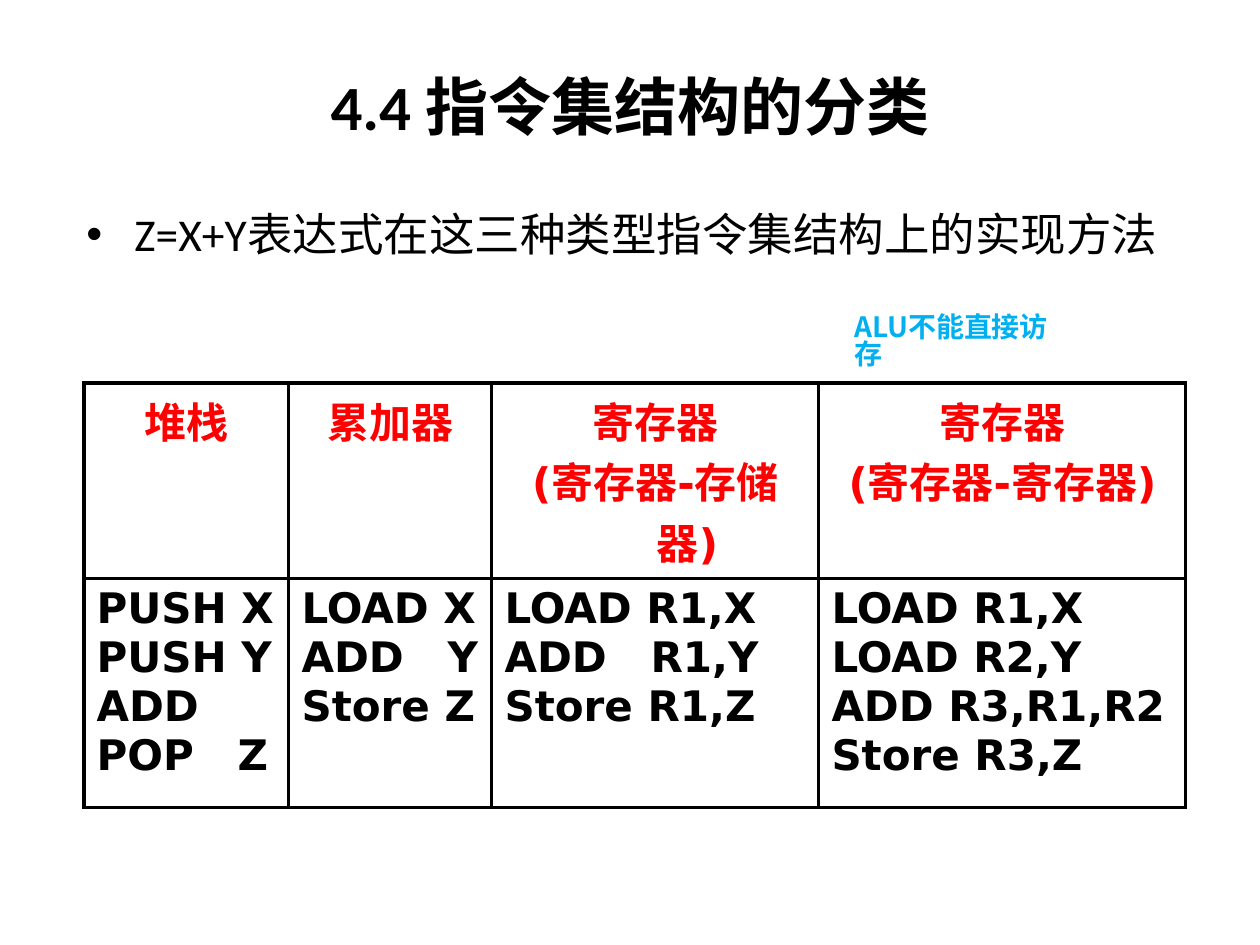
from lxml.etree import SubElement
from pptx import Presentation
from pptx.dml.color import RGBColor
from pptx.enum.text import MSO_ANCHOR, MSO_AUTO_SIZE, PP_ALIGN
from pptx.oxml import parse_xml
from pptx.oxml.ns import nsdecls, qn
from pptx.util import Emu, Pt

SCALE = 914400 / 126
CJK = "Noto Sans CJK SC"
COLUMNS = [
    (205, ["堆栈"], ["PUSH X", "PUSH Y", "ADD", "POP   Z"]),
    (203, ["累加器"], ["LOAD X", "ADD   Y", "Store Z"]),
    (327, ["寄存器", "(寄存器-存储器)"], ["LOAD R1,X", "ADD   R1,Y", "Store R1,Z"]),
    (367, ["寄存器", "(寄存器-寄存器)"],
     ["LOAD R1,X", "LOAD R2,Y", "ADD R3,R1,R2", "Store R3,Z"]),
]


def px(n):
    return Emu(round(n * SCALE))


def color(value):
    return RGBColor.from_string(value)


def write(tf, lines, size, font="Calibri", fill="000000", bold=False,
          align=PP_ALIGN.LEFT, hang=0, spacing=None, bullet=None):
    tf.word_wrap = True
    for i, line in enumerate(lines):
        p = tf.paragraphs[0] if i == 0 else tf.add_paragraph()
        p.alignment = align
        p.line_spacing = spacing
        pPr = p._p.get_or_add_pPr()
        pPr.set("marL", str(px(hang)))
        pPr.set("indent", str(-px(hang)))
        if bullet:
            SubElement(pPr, qn("a:buFont"), typeface="Arial")
            SubElement(pPr, qn("a:buChar"), char=bullet)
        r = p.add_run()
        r.text = line
        r.font.size = Pt(size)
        r.font.bold = bold
        r.font.name = font
        r.font.color.rgb = color(fill)
        SubElement(r._r.get_or_add_rPr(), qn("a:ea"), typeface=CJK)


def add_title(s, text):
    sp = s.shapes.title
    sp.left, sp.top, sp.width, sp.height = map(px, (63, 26, 1134, 158))
    sp.text_frame.vertical_anchor = MSO_ANCHOR.MIDDLE
    write(sp.text_frame, [text], 36, bold=True, align=PP_ALIGN.CENTER)


def add_text(s, box, text, size, inset, **fmt):
    sp = s.shapes.add_textbox(*map(px, box))
    tf = sp.text_frame
    tf.auto_size = MSO_AUTO_SIZE.NONE
    tf.margin_top = px(inset)
    write(tf, [text], size, spacing=0.82, **fmt)


def set_borders(cell, line="000000", width=2):
    tcPr = cell._tc.get_or_add_tcPr()
    for i, side in enumerate("LRTB"):
        tcPr.insert(i, parse_xml(
            f'<a:ln{side} {nsdecls("a")} w="{Pt(width)}"><a:solidFill>'
            f'<a:srgbClr val="{line}"/></a:solidFill></a:ln{side}>'))


def add_comparison(s):
    width = sum(w for w, _, _ in COLUMNS)
    frame = s.shapes.add_table(2, len(COLUMNS), *map(px, (84, 383, width, 371)))
    table = frame.table
    table.first_row = table.horz_banding = False
    for row, height in zip(table.rows, (142, 229)):
        row.height = px(height)
    for c, (w, header, code) in enumerate(COLUMNS):
        table.columns[c].width = px(w)
        for r, (lines, fill, align) in enumerate((
                (header, "FF0000", PP_ALIGN.CENTER),
                (code, "000000", PP_ALIGN.LEFT))):
            cell = table.cell(r, c)
            cell.fill.background()
            set_borders(cell)
            write(cell.text_frame, lines, 24, font="DejaVu Sans", fill=fill,
                  bold=True, align=align, hang=64)


def main():
    prs = Presentation()
    prs.slide_width, prs.slide_height = px(1260), px(945)
    s = prs.slides.add_slide(prs.slide_layouts[5])
    add_text(s, (74, 204, 1103, 158), "Z=X+Y表达式在这三种类型指令集结构上的实现方法",
             26, 12, hang=48, bullet="•")
    add_comparison(s)
    add_title(s, "4.4 指令集结构的分类")
    add_text(s, (842, 306, 242, 47), "ALU不能直接访存", 16, 9,
             font=CJK, fill="00B0F0", bold=True)
    prs.save("out.pptx")


if __name__ == "__main__":
    main()
